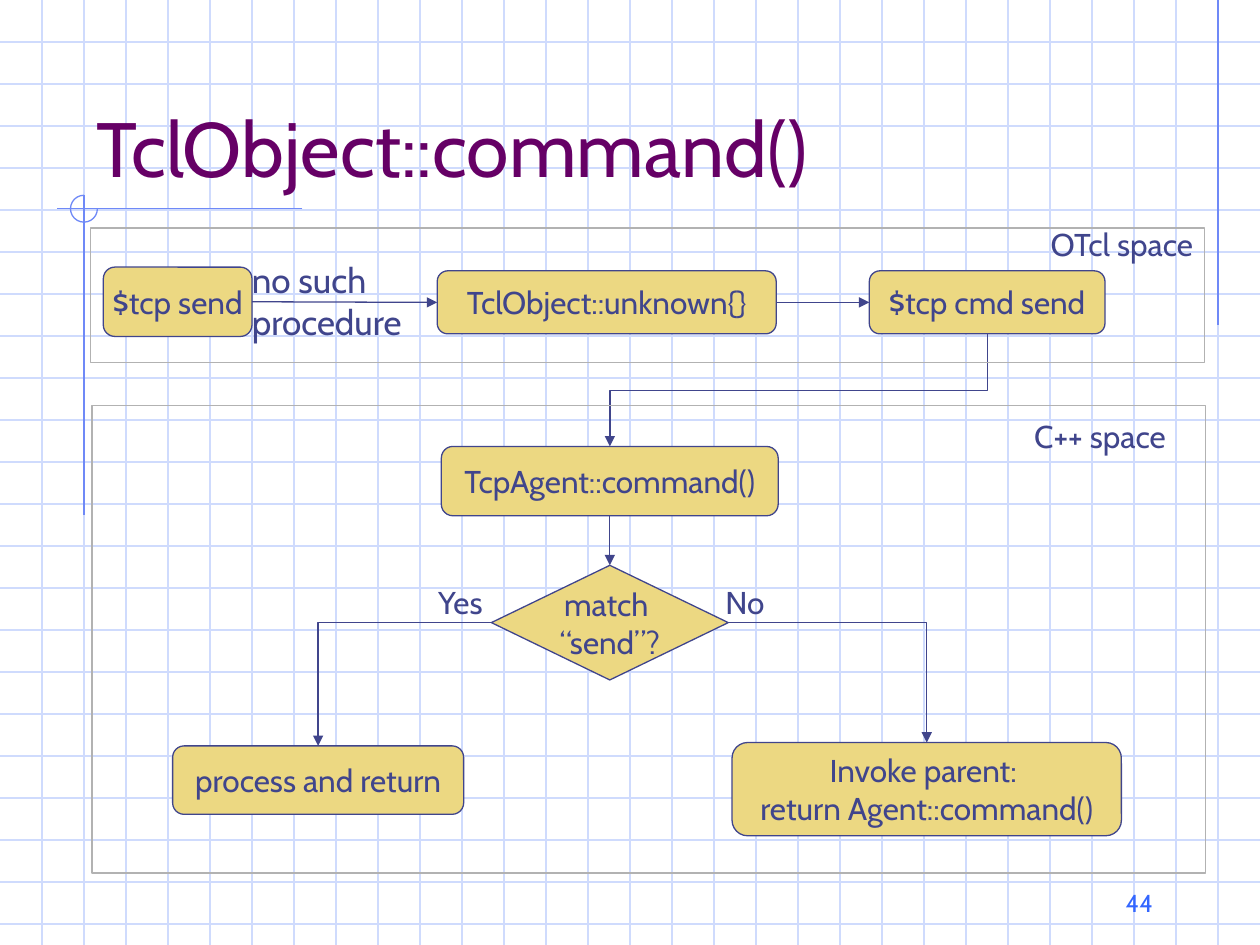
from dataclasses import dataclass

from lxml import etree
from pptx import Presentation
from pptx.dml.color import RGBColor
from pptx.enum.shapes import MSO_CONNECTOR, MSO_SHAPE
from pptx.enum.text import MSO_ANCHOR, PP_ALIGN
from pptx.oxml.ns import qn
from pptx.util import Inches, Pt

ROUND, DIAMOND = MSO_SHAPE.ROUNDED_RECTANGLE, MSO_SHAPE.DIAMOND
RECT, ARC = MSO_SHAPE.RECTANGLE, MSO_SHAPE.ARC
STRAIGHT, ELBOW = MSO_CONNECTOR.STRAIGHT, MSO_CONNECTOR.ELBOW
LEFT, CENTER, RIGHT = PP_ALIGN.LEFT, PP_ALIGN.CENTER, PP_ALIGN.RIGHT
TOP, MIDDLE, BOTTOM = MSO_ANCHOR.TOP, MSO_ANCHOR.MIDDLE, MSO_ANCHOR.BOTTOM
SIDE_TOP, SIDE_LEFT, SIDE_BOTTOM, SIDE_RIGHT = range(4)
COLS, ROWS = 30, 22.5


@dataclass(frozen=True)
class Theme:
    font: str = "Cabin"
    ink: str = "40458C"
    box: str = "ECD882"
    frame: str = "B2B2B2"
    grid: str = "CFDBFD"
    accent: str = "6F89F7"
    title: str = "660066"
    number: str = "3366FF"
    title_size: int = 44
    note_size: int = 20
    body_size: int = 18
    number_size: int = 14
    line: float = 0.75


class Deck:
    def __init__(self, theme):
        self.theme = theme
        self.prs = Presentation()
        self.prs.slide_width, self.prs.slide_height = Inches(10), Inches(7.5)
        self.unit = self.prs.slide_width / COLS
        self.s = self.prs.slides.add_slide(self.prs.slide_layouts[6])

    def place(self, *cells):
        return [round(c * self.unit) for c in cells]

    def stroke(self, line, color):
        line.color.rgb = RGBColor.from_string(color)
        line.width = Pt(self.theme.line)

    def set_text(self, sp, text, size=None, color=None, align=LEFT, anchor=TOP, wrap=False):
        tf = sp.text_frame
        tf.word_wrap, tf.vertical_anchor = wrap, anchor
        style = {"name": self.theme.font, "size": Pt(size or self.theme.body_size)}
        for i, words in enumerate(text.split("\n")):
            p = tf.add_paragraph() if i else tf.paragraphs[0]
            p.alignment = align
            r = p.add_run()
            r.text = words
            for key, value in style.items():
                setattr(r.font, key, value)
            r.font.color.rgb = RGBColor.from_string(color or self.theme.ink)

    def label(self, text, cells, **style):
        self.set_text(self.s.shapes.add_textbox(*self.place(*cells)), text, **style)

    def shape(self, kind, cells, color, fill=None):
        sp = self.s.shapes.add_shape(kind, *self.place(*cells))
        sp.shadow.inherit = False
        if fill:
            sp.fill.solid()
            sp.fill.fore_color.rgb = RGBColor.from_string(fill)
        else:
            sp.fill.background()
        self.stroke(sp.line, color)
        return sp

    def node(self, text, cells, kind=ROUND):
        sp = self.shape(kind, cells, self.theme.ink, self.theme.box)
        self.set_text(sp, text, align=CENTER, anchor=MIDDLE)
        return sp

    def line(self, x1, y1, x2, y2, color, kind=STRAIGHT):
        cxn = self.s.shapes.add_connector(kind, *self.place(x1, y1, x2, y2))
        self.stroke(cxn.line, color)
        etree.SubElement(cxn._element.spPr, qn("a:effectLst"))
        return cxn

    def arrow(self, start, start_side, end, end_side, kind=STRAIGHT):
        cxn = self.line(0, 0, 1, 1, self.theme.ink, kind)
        cxn.begin_connect(start, start_side)
        cxn.end_connect(end, end_side)
        ln = cxn._element.spPr.find(qn("a:ln"))
        etree.SubElement(ln, qn("a:tailEnd"), type="triangle")
        return cxn

    def corner(self, *ends):
        cxn = self.arrow(*ends, kind=ELBOW)
        cxn._element.spPr.find(qn("a:prstGeom")).set("prst", "bentConnector2")

    def drop(self, *ends):
        cxn = self.arrow(*ends, kind=ELBOW)
        w, h = cxn.width, cxn.height
        cxn.left, cxn.top = cxn.left + (w - h) // 2, cxn.top + (h - w) // 2
        cxn.width, cxn.height = h, w
        xfrm = cxn._element.spPr.find(qn("a:xfrm"))
        xfrm.set("rot", "5400000")
        xfrm.set("flipH", "0")

    def background(self):
        t = self.theme
        for row in range(1, int(ROWS) + 1):
            self.line(0, row, COLS, row, t.grid)
        for col in range(1, COLS):
            self.line(col, 0, col, ROWS, t.grid)
        for ends in [(29, 0, 29, 7.74), (7.2, 4.97, 1.35, 4.97), (2, 4.65, 2, 12.27)]:
            self.line(*ends, t.accent)
        ring = self.shape(ARC, (1.68, 4.65, 0.64, 0.64), t.accent)
        ring.adjustments[0], ring.adjustments[1] = 0, 162


def main():
    t = Theme()
    d = Deck(t)
    d.background()
    d.label("TclObject::command()", (2, 1, 25.5, 3.75), size=t.title_size,
            color=t.title, anchor=BOTTOM, wrap=True)

    send = d.node("$tcp send", (2.46, 6.36, 3.54, 1.65))
    unknown = d.node("TclObject::unknown{}", (10.41, 6.45, 8.07, 1.5))
    cmd = d.node("$tcp cmd send", (20.7, 6.45, 5.61, 1.5))
    agent = d.node("TcpAgent::command()", (10.51, 10.63, 8.02, 1.65))
    match = d.node("match \n“send”?", (11.7, 13.46, 5.64, 2.73), DIAMOND)
    parent = d.node("Invoke parent: \nreturn Agent::command()", (17.43, 17.68, 9.27, 2.22))
    process = d.node("process and return", (4.11, 17.76, 6.93, 1.63))

    d.arrow(send, SIDE_RIGHT, unknown, SIDE_LEFT)
    d.arrow(unknown, SIDE_RIGHT, cmd, SIDE_LEFT)
    d.drop(cmd, SIDE_BOTTOM, agent, SIDE_TOP)
    d.arrow(agent, SIDE_BOTTOM, match, SIDE_TOP)
    d.corner(match, SIDE_LEFT, process, SIDE_TOP)
    d.corner(match, SIDE_RIGHT, parent, SIDE_TOP)

    d.label("no such\nprocedure", (5.7, 6, 4.68, 2.31), size=t.note_size)
    d.label("Yes", (10.14, 13.74, 1.8, 1.2))
    d.label("No", (16.98, 13.74, 1.62, 1.2))

    spaces = [
        ("OTcl space", (2.16, 5.43, 26.52, 3.21), (24.72, 5.22, 4.56, 1.2)),
        ("C++ space", (2.19, 9.66, 26.52, 11.13), (24.33, 9.78, 4.56, 1.2)),
    ]
    for name, frame, caption in spaces:
        d.shape(RECT, frame, t.frame)
        d.label(name, caption, wrap=True)

    d.label("44", (21.5, 20.5, 6.25, 1.5), size=t.number_size, color=t.number,
            align=RIGHT, anchor=BOTTOM, wrap=True)
    d.prs.save("out.pptx")


if __name__ == "__main__":
    main()
